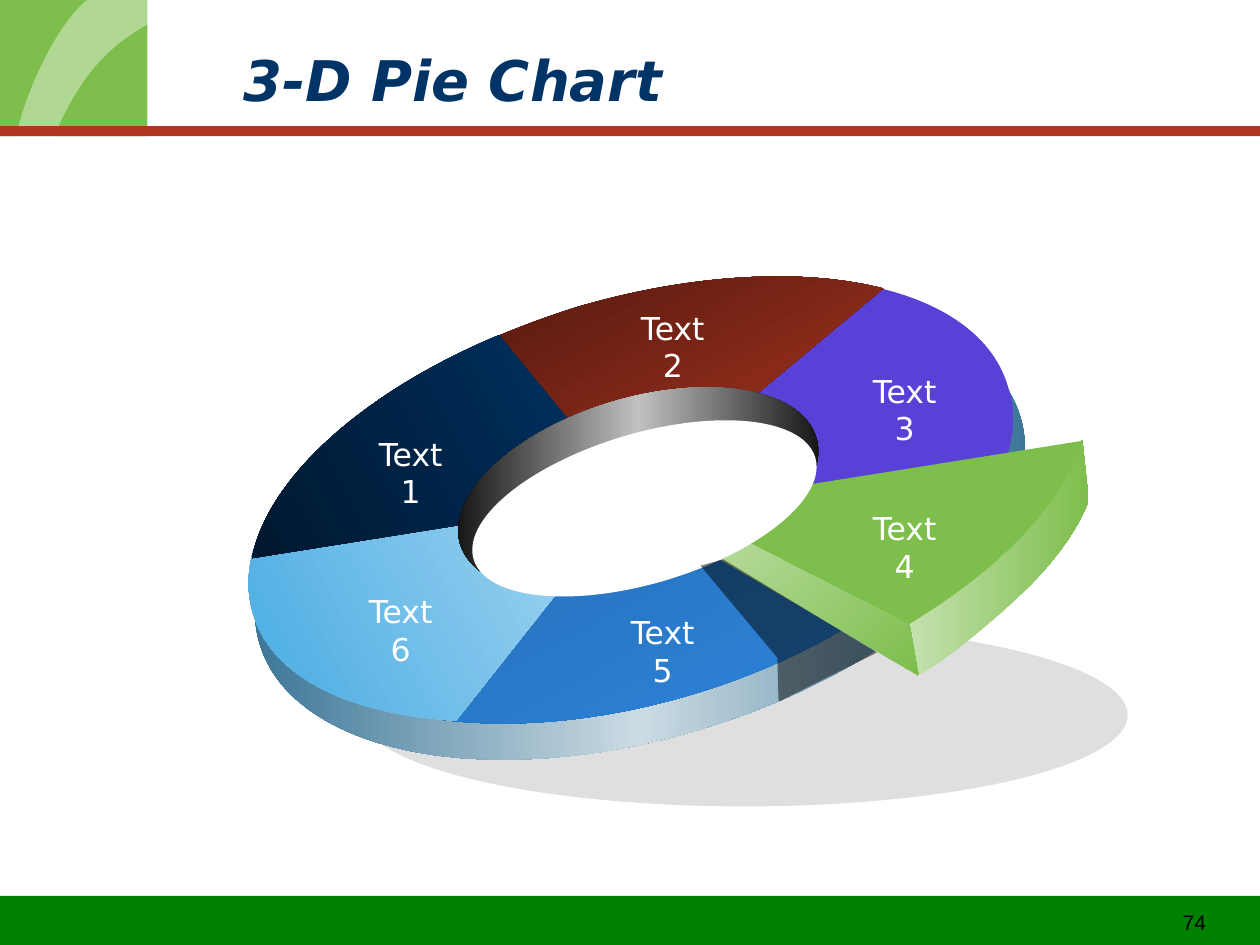
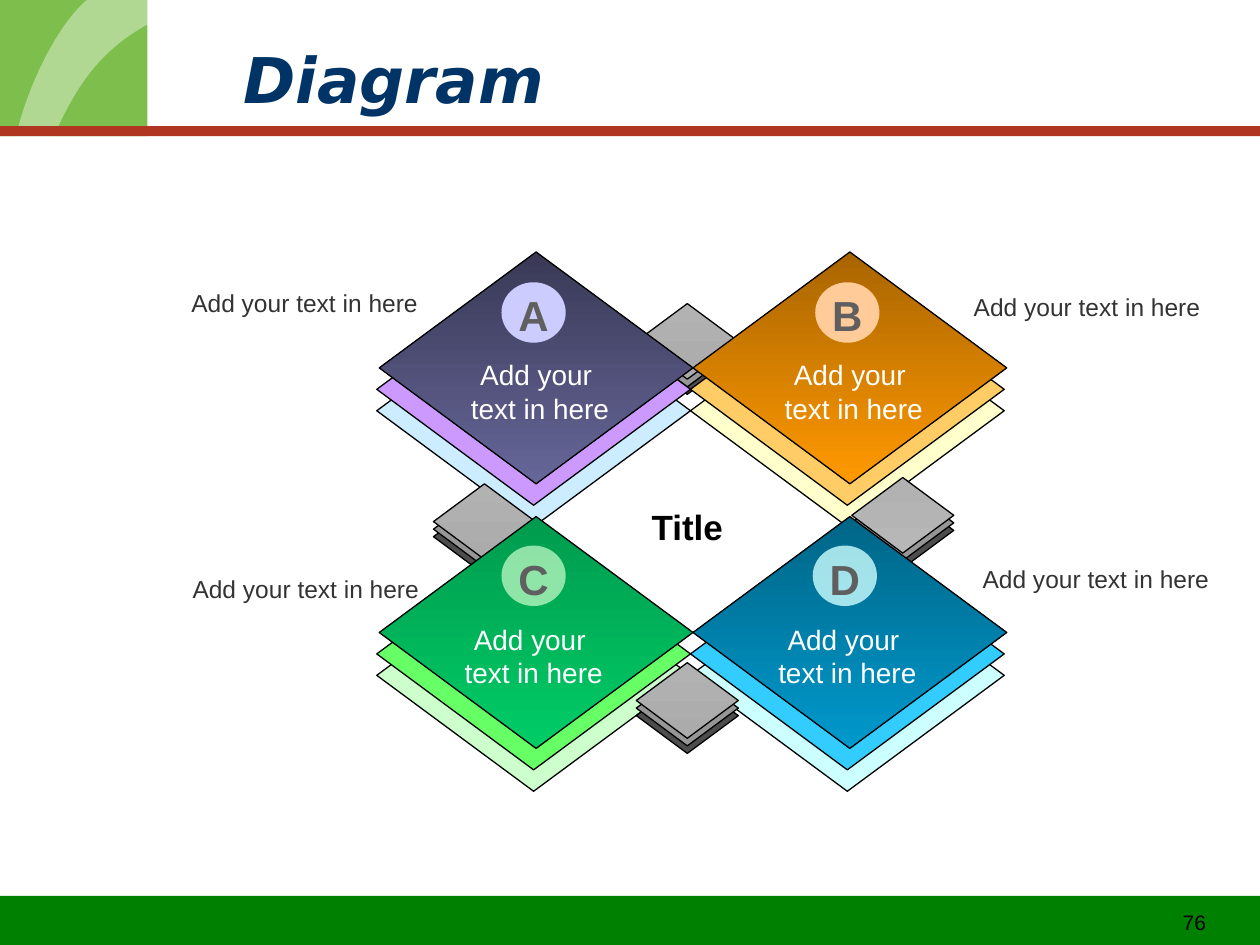
from copy import deepcopy

from lxml.etree import SubElement
from pptx import Presentation
from pptx.dml.color import RGBColor
from pptx.enum.shapes import MSO_SHAPE
from pptx.enum.text import MSO_ANCHOR, MSO_AUTO_SIZE, PP_ALIGN
from pptx.oxml.ns import qn
from pptx.util import Inches, Pt

COLS, ROWS = 10, 7.5
TITLE_FONT, BODY_FONT = "DejaVu Sans", "Arial"
NAVY, GREEN, RUST, WHITE, BLACK = "003366", "7DBE4C", "B13621", "FFFFFF", "000000"
FOOTER_GREEN, LIGHT_GREEN, STEEL = "008000", "C4E1AE", "29698D"
TILT = 343.4


def rgb(hex_code):
    return RGBColor.from_string(hex_code)


def bend(sp, steps):
    """Merge the three lines drawn for each six-number step into one Bezier curve."""
    geometry = sp.element.spPr.find(".//" + qn("a:path"))
    lines = iter(geometry.findall(qn("a:lnTo")))
    for step in steps:
        if len(step) == 2:
            geometry.append(next(lines))
            continue
        curve = SubElement(geometry, qn("a:cubicBezTo"))
        for _ in range(3):
            line = next(lines)
            curve.append(line[0])
            geometry.remove(line)
    geometry.append(geometry.find(qn("a:close")))


def write(tf, *lines, size=16, color=WHITE, font=BODY_FONT, bold=False, italic=False,
          align=PP_ALIGN.CENTER):
    """Fill a text frame with one paragraph for each line."""
    for i, line in enumerate(lines):
        p = tf.add_paragraph() if i else tf.paragraphs[0]
        p.alignment = align
        r = p.add_run()
        r.text = line
        r.font.name, r.font.size = font, Pt(size)
        r.font.bold, r.font.italic = bold, italic
        r.font.color.rgb = rgb(color)


class Deck:
    """Holds the style and the current slide; lengths are grid columns and rows."""

    def __init__(self):
        self.prs = Presentation()
        self.prs.slide_width, self.prs.slide_height = Inches(10), Inches(7.5)
        self.col = self.prs.slide_width / COLS
        self.row = self.prs.slide_height / ROWS
        self.layout = self.prs.slide_layouts[5]
        title = self.layout.placeholders[0]
        title.left, title.top, title.width, title.height = self.box(1.83, 0.25, 7.67, 0.75)
        self.slide = None

    def box(self, x, y, w, h):
        return [round(n) for n in (x * self.col, y * self.row, w * self.col, h * self.row)]

    def new_slide(self, title, number, size):
        first = self.slide is None
        self.slide = self.prs.slides.add_slide(self.layout)
        if first:
            self.decorate_layout()
        tf = self.slide.shapes.title.text_frame
        tf.auto_size, tf.vertical_anchor = MSO_AUTO_SIZE.NONE, MSO_ANCHOR.MIDDLE
        write(tf, title, size=size, color=NAVY, font=TITLE_FONT, bold=True,
              italic=True, align=PP_ALIGN.LEFT)
        self.text((9, 7.17, 0.67, 0.25), number, size=12, color=BLACK, align=PP_ALIGN.RIGHT)

    def decorate_layout(self):
        """Draw the shared bands and corner, then move them to the layout."""
        swoosh = [(1.04, 3.06), (0.26, 2.87, 0.13, 1.77, 0.42, 1.1),
                  (0.71, 0.43, 0.99, 0.25, 1.58, 0), (0.69, 0),
                  (0.47, 0.18, 0.18, 0.71, 0.09, 1.26), (0, 1.8, 0.08, 2.77, 0.95, 3.06)]
        rect = MSO_SHAPE.RECTANGLE
        for sp in (self.shape(rect, (0, 7.11, COLS, ROWS - 7.11), FOOTER_GREEN),
                   self.shape(rect, (0, 0, 1.17, 1.08), GREEN),
                   self.outline(swoosh, WHITE, alpha=40),
                   self.shape(rect, (0, 1, COLS, 0.08), RUST)):
            self.layout.shapes.element.append(sp.element)

    def paint(self, sp, fill, alpha=100, angle=0, line=None):
        """Fill with one colour, or with evenly spaced gradient stops."""
        sp.shadow.inherit = False
        if isinstance(fill, str):
            sp.fill.solid()
            sp.fill.fore_color.rgb = rgb(fill)
            if alpha < 100:
                color = sp.element.spPr.find(qn("a:solidFill"))[0]
                SubElement(color, qn("a:alpha"), val=str(alpha * 1000))
        else:
            sp.fill.gradient()
            sp.fill.gradient_angle = (sp.rotation - angle) % 360
            stops = sp.element.spPr.find(".//" + qn("a:gsLst"))
            for _ in fill[2:]:
                stops.insert(1, deepcopy(stops[0]))
            for i, (stop, color) in enumerate(zip(sp.fill.gradient_stops, fill)):
                stop.position = i / (len(fill) - 1)
                stop.color.rgb = rgb(color)
        if line:
            sp.line.color.rgb, sp.line.width = rgb(line), Pt(0.75)
        else:
            sp.line.fill.background()
        return sp

    def shape(self, kind, at, fill, rotation=0, **look):
        sp = self.slide.shapes.add_shape(kind, *self.box(*at))
        sp.rotation = rotation
        return self.paint(sp, fill, **look)

    def ellipse(self, at, fill, **look):
        return self.shape(MSO_SHAPE.OVAL, at, fill, **look)

    def outline(self, steps, fill, **look):
        """Draw a closed outline; a step of two numbers is a line, of six a curve."""
        points = [(step[i] * self.col, step[i + 1] * self.row)
                  for step in steps for i in range(0, len(step), 2)]
        builder = self.slide.shapes.build_freeform(*points[0], scale=1.0)
        builder.add_line_segments(points[1:], close=True)
        sp = builder.convert_to_shape()
        bend(sp, steps[1:])
        return self.paint(sp, fill, **look)

    def text(self, at, *lines, wrap=True, **style):
        tf = self.slide.shapes.add_textbox(*self.box(*at)).text_frame
        tf.word_wrap = wrap
        write(tf, *lines, **style)

    def diamonds(self, x, y, w, h, fills, step, shift=0):
        """Stack three diamonds, the lowest first and the shaded one on top."""
        for level, fill in zip((2, 1, 0), fills):
            dx = shift if level else 0
            self.shape(MSO_SHAPE.DIAMOND, (x + dx, y + level * step, w, h), fill,
                       angle=90, line=BLACK)

    def chip(self, x, y, end="ABABAB"):
        self.diamonds(x, y, 0.81, 0.6, ("4D4D4D", "969696", ("B2B2B2", end)), 0.06)

    def tile(self, letter, column, row, fills, badge, alpha=100):
        x, y = 3.01 + 2.49 * column, 2 + 2.1 * row
        self.diamonds(x, y, 2.49, 1.84, fills, 0.17, shift=-0.02)
        self.text((x + 0.58 - 0.05 * row, y + 0.79, 1.39, 0.64), "Add your ", "text in here",
                  wrap=False)
        sp = self.ellipse((x + 0.97 - 0.02 * row * column, y + 0.24 - 0.01 * row, 0.51, 0.48),
                          badge, alpha=alpha)
        tf = sp.text_frame
        tf.margin_left = tf.margin_right = tf.margin_bottom = 0
        tf.margin_top = Pt(3)
        tf.vertical_anchor, tf.word_wrap = MSO_ANCHOR.MIDDLE, False
        write(tf, letter, size=24, color="5F5F5F", bold=True)


def pie_slide(deck):
    deck.new_slide("3-D Pie Chart", "74", 32)
    deck.ellipse((2.87, 4.95, 6.08, 1.45), "C0C0C0", alpha=50)
    deck.ellipse((1.93, 2.56, 6.3, 3.3), (STEEL, "CBDBE3", STEEL), rotation=TILT)
    deck.ellipse((1.99, 2.38, 6.08, 3.2), ("1F5A95", "308DEA"), rotation=TILT, angle=62)

    center = (5.02, 3.95)
    slices = [
        ([(6.95, 2.28), (7.52, 2.41, 7.89, 2.69, 8, 3.07),
          (8.07, 3.27, 8.05, 3.5, 7.95, 3.73)], "5940D6", 0),
        ([(2.02, 4.34), (1.96, 4.53, 1.96, 4.71, 2.01, 4.87),
          (2.15, 5.36, 2.75, 5.67, 3.62, 5.72)], ("ABD9F2", "47ABE3"), 152),
        ([(3.92, 2.68), (4.13, 2.59, 4.35, 2.51, 4.57, 2.44),
          (5.45, 2.18, 6.35, 2.12, 7.01, 2.29)], ("52190F", RUST), 62),
        ([(3.96, 2.66), (2.88, 3.11, 2.12, 3.8, 2, 4.43)], (NAVY, "00182F"), 152),
    ]
    for rim, fill, angle in slices:
        deck.outline(rim + [center], fill, angle=angle)
    deck.ellipse((3.59, 3.16, 2.95, 1.47), (BLACK, "C1C1C1", BLACK), rotation=TILT)

    pulled_rim = [(7.22, 4.95), (8.59, 3.49), (8.64, 3.97), (8.57, 4.17, 8.4, 4.42, 8.17, 4.65),
                  (7.94, 4.88, 7.43, 5.31, 7.27, 5.36), (7.24, 5.23, 7.22, 4.95, 7.22, 4.95)]
    pulled_top = [(8.58, 3.5), (8.44, 4, 7.93, 4.53, 7.17, 4.98), (5.33, 4.02)]
    pulled_side = [(7.22, 4.96), (7.29, 5.36), (5.48, 4.3), (5.36, 4.01)]
    deck.outline(pulled_rim, (LIGHT_GREEN, GREEN))
    deck.outline(pulled_top, GREEN)
    deck.outline(pulled_side, (LIGHT_GREEN, GREEN), angle=45)

    label_spots = [(2.84, 3.4), (4.92, 2.4), (6.76, 2.9), (6.76, 3.99), (4.84, 4.82), (2.76, 4.65)]
    for i, spot in enumerate(label_spots, 1):
        deck.text((*spot, 0.84, 0.4), f"Text{i}", size=18, font=TITLE_FONT)

    deck.ellipse((3.7, 3.44, 2.83, 1.19), WHITE, rotation=TILT)
    cast_shadow = [(5.56, 4.49), (6.17, 5.22), (6.18, 5.57), (6.96, 5.18), (5.74, 4.44)]
    deck.outline(cast_shadow, BLACK, alpha=49)


def diamond_slide(deck):
    deck.new_slide("Diagram", "76", 36)
    deck.chip(5.05, 2.41)
    deck.tile("B", 1, 0, ("FFFFCC", "FFCC66", ("A96500", "FF9900")), "FFCC99")
    deck.tile("A", 0, 0, ("CCECFF", "CC99FF", ("393956", "666699")), "CCCCFF")
    deck.text((5.07, 3.96, 0.77, 0.44), "Title", wrap=False, size=20, color=BLACK, bold=True)
    deck.chip(6.76, 3.79, end="B7B7B7")
    deck.tile("D", 1, 1, ("CCFFFF", "33CCFF", ("006587", "0099CC")), "CCFFFF", alpha=80)
    deck.chip(3.44, 3.84)
    deck.tile("C", 0, 1, ("CCFFCC", "66FF66", ("009B4E", "00CC66")), "CCFFCC", alpha=70)
    deck.chip(5.05, 5.26)
    for x, y, w in ((7.63, 2.27, 2.13), (7.7, 4.43, 2.13), (1.42, 2.24, 2.04), (1.43, 4.51, 2.04)):
        deck.text((x, y, w, 0.34), "Add your text in here", size=14, color="333333",
                  align=PP_ALIGN.LEFT)


def main():
    deck = Deck()
    pie_slide(deck)
    diamond_slide(deck)
    deck.prs.save("out.pptx")


if __name__ == "__main__":
    main()
